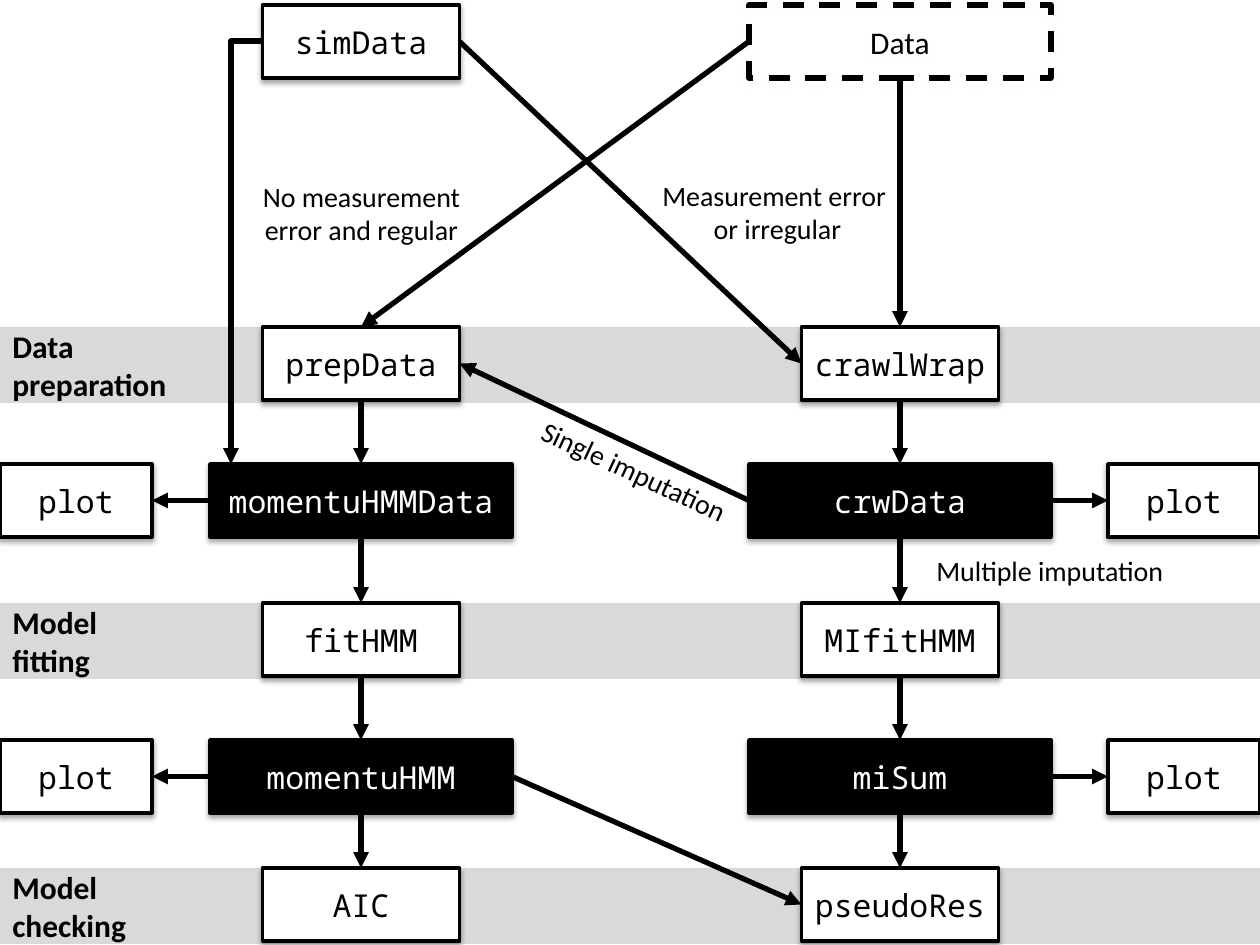
from lxml import etree
from pptx import Presentation
from pptx import util as u
from pptx.dml.color import RGBColor
from pptx.enum import dml, shapes, text
from pptx.oxml import parse_xml
from pptx.oxml.ns import nsdecls, qn

PX = 914400 / 126
COLORS = {"ink": "000000", "paper": "FFFFFF", "band": "D9D9D9"}
MONO, SANS = "Noto Sans Mono", "Calibri"

PAGE_W, PAGE_H = 1260, 945
BOX_H, BAND_H = 73, 76
ROWS = [5, 327, 464, 603, 740, 868]
CENTERS = {"far left": 76, "left": 361, "right": 900, "far right": 1184}
WIDTHS = {"step": 197, "object": 302, "plot": 152, "input": 302}

BANDS = [(5, ["Model", "checking"]), (3, ["Model", "fitting"]), (1, ["Data", "preparation"])]

BOXES = [
    ("simData", "simData", "step", "left", 0),
    ("Data", "Data", "input", "right", 0),
    ("prepData", "prepData", "step", "left", 1),
    ("crawlWrap", "crawlWrap", "step", "right", 1),
    ("data plot", "plot", "plot", "far left", 2),
    ("momentuHMMData", "momentuHMMData", "object", "left", 2),
    ("crwData", "crwData", "object", "right", 2),
    ("crw plot", "plot", "plot", "far right", 2),
    ("fitHMM", "fitHMM", "step", "left", 3),
    ("MIfitHMM", "MIfitHMM", "step", "right", 3),
    ("model plot", "plot", "plot", "far left", 4),
    ("momentuHMM", "momentuHMM", "object", "left", 4),
    ("miSum", "miSum", "object", "right", 4),
    ("sum plot", "plot", "plot", "far right", 4),
    ("AIC", "AIC", "step", "left", 5),
    ("pseudoRes", "pseudoRes", "step", "right", 5),
]

TOP, LEFT, BOTTOM, RIGHT = range(4)
CHAINS = [
    ["prepData", "momentuHMMData", "fitHMM", "momentuHMM", "AIC"],
    ["Data", "crawlWrap", "crwData", "MIfitHMM", "miSum", "pseudoRes"],
]
SIDE_ARROWS = [
    ("momentuHMMData", LEFT, "data plot", RIGHT),
    ("momentuHMM", LEFT, "model plot", RIGHT),
    ("crwData", RIGHT, "crw plot", LEFT),
    ("miSum", RIGHT, "sum plot", LEFT),
    ("momentuHMM", RIGHT, "pseudoRes", LEFT),
    ("crwData", LEFT, "prepData", RIGHT),
    ("simData", RIGHT, "crawlWrap", LEFT),
    ("Data", LEFT, "prepData", TOP),
]
BYPASS = (263, 41, 231, 464)

CENTER, START = text.PP_ALIGN.CENTER, text.PP_ALIGN.LEFT
LABELS = [
    (["No measurement error and regular"], 226, 173, 271, 81, 0, [CENTER]),
    (["Measurement error", "or irregular"], 650, 172, 255, 81, 0, [START, CENTER]),
    (["Single imputation"], 519, 462, 291, 47, 24.9, [START]),
    (["Multiple imputation"], 924, 547, 291, 47, 0, [START]),
]


def px(*lengths):
    return [u.Emu(round(length * PX)) for length in lengths]


def rgb(name):
    return RGBColor.from_string(COLORS[name])


def write(shape, lines, size, font, color, aligns, bold=False):
    frame = shape.text_frame
    frame.word_wrap = True
    frame.text = "\n".join(lines)
    for para, align in zip(frame.paragraphs, aligns):
        para.alignment = align
        para.font.size, para.font.name, para.font.bold = u.Pt(size), font, bold
        para.font.color.rgb = rgb(color)


def add_rect(page, left, top, width, height, fill):
    shape = page.shapes.add_shape(shapes.MSO_SHAPE.RECTANGLE, *px(left, top, width, height))
    shape.shadow.inherit = False
    if fill:
        shape.fill.solid()
        shape.fill.fore_color.rgb = rgb(fill)
    else:
        shape.fill.background()
    shape.text_frame.vertical_anchor = text.MSO_ANCHOR.MIDDLE
    return shape


def add_band(page, row, lines):
    band = add_rect(page, 0, ROWS[row], PAGE_W, BAND_H, "band")
    band.line.fill.background()
    write(band, lines, 18, SANS, "ink", [START] * len(lines), bold=True)


def add_box(page, label, kind, column, row):
    width = WIDTHS[kind]
    is_input, is_object = kind == "input", kind == "object"
    fill = None if is_input else "ink" if is_object else "paper"
    box = add_rect(page, CENTERS[column] - width / 2, ROWS[row], width, BOX_H, fill)
    box.line.color.rgb = rgb("ink")
    box.line.width = u.Pt(3 if is_input else 2)
    if is_input:
        box.line.dash_style = dml.MSO_LINE.DASH
    write(box, [label], 18, SANS if is_input else MONO, "paper" if is_object else "ink", [CENTER])
    box.text_frame.word_wrap = False
    shade, alpha = ("paper", 100) if is_input else ("ink", 35)
    box._element.spPr.find(qn("a:effectLst")).append(parse_xml(
        f'<a:outerShdw {nsdecls("a")} blurRad="{u.Pt(3.1)}" dist="{u.Pt(1.8)}" dir="5400000" '
        f'rotWithShape="0"><a:srgbClr val="{COLORS[shade]}">'
        f'<a:alpha val="{alpha * 1000}"/></a:srgbClr></a:outerShdw>'))
    return box


def add_arrow(page, kind, ends=(0, 0, 0, 0)):
    arrow = page.shapes.add_connector(kind, *px(*ends))
    arrow.line.color.rgb = rgb("ink")
    arrow.line.width = u.Pt(3)
    etree.SubElement(arrow.line._get_or_add_ln(), qn("a:tailEnd"), type="triangle")
    etree.SubElement(arrow._element.spPr, qn("a:effectLst"))
    return arrow


def main():
    deck = Presentation()
    deck.slide_width, deck.slide_height = px(PAGE_W, PAGE_H)
    page = deck.slides.add_slide(deck.slide_layouts[6])

    for row, lines in BANDS:
        add_band(page, row, lines)
    boxes = {key: add_box(page, *details) for key, *details in BOXES}

    down_arrows = [(source, BOTTOM, target, TOP)
                   for chain in CHAINS for source, target in zip(chain, chain[1:])]
    for source, out_site, target, in_site in down_arrows + SIDE_ARROWS:
        arrow = add_arrow(page, shapes.MSO_CONNECTOR.STRAIGHT)
        arrow.begin_connect(boxes[source], out_site)
        arrow.end_connect(boxes[target], in_site)

    bypass = add_arrow(page, shapes.MSO_CONNECTOR.ELBOW, BYPASS)
    bypass._element.spPr.find(qn("a:prstGeom")).set("prst", "bentConnector2")

    for lines, left, top, width, height, angle, aligns in LABELS:
        label = page.shapes.add_textbox(*px(left, top, width, height))
        label.rotation = angle
        write(label, lines, 16, SANS, "ink", aligns)

    deck.save("out.pptx")


if __name__ == "__main__":
    main()
